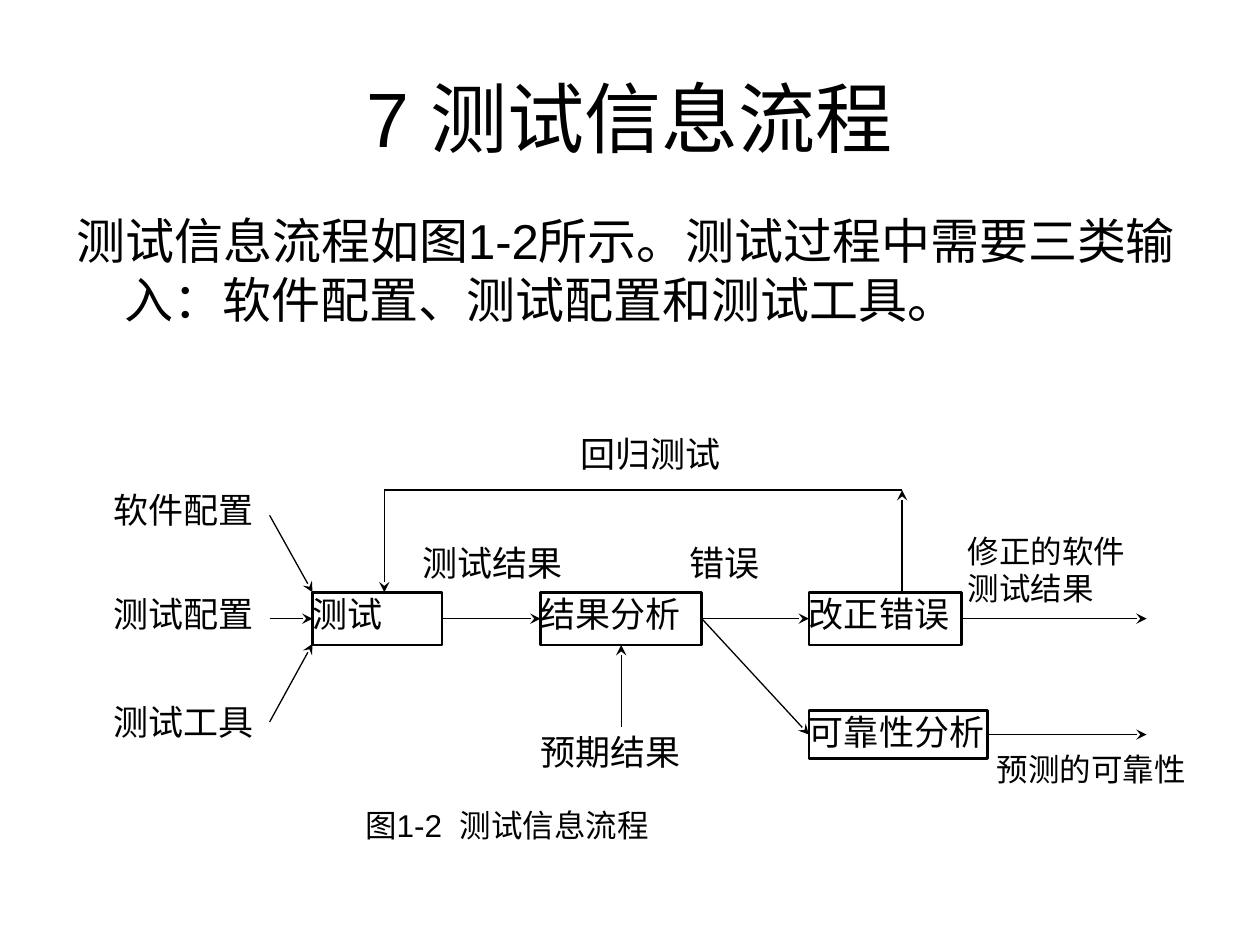
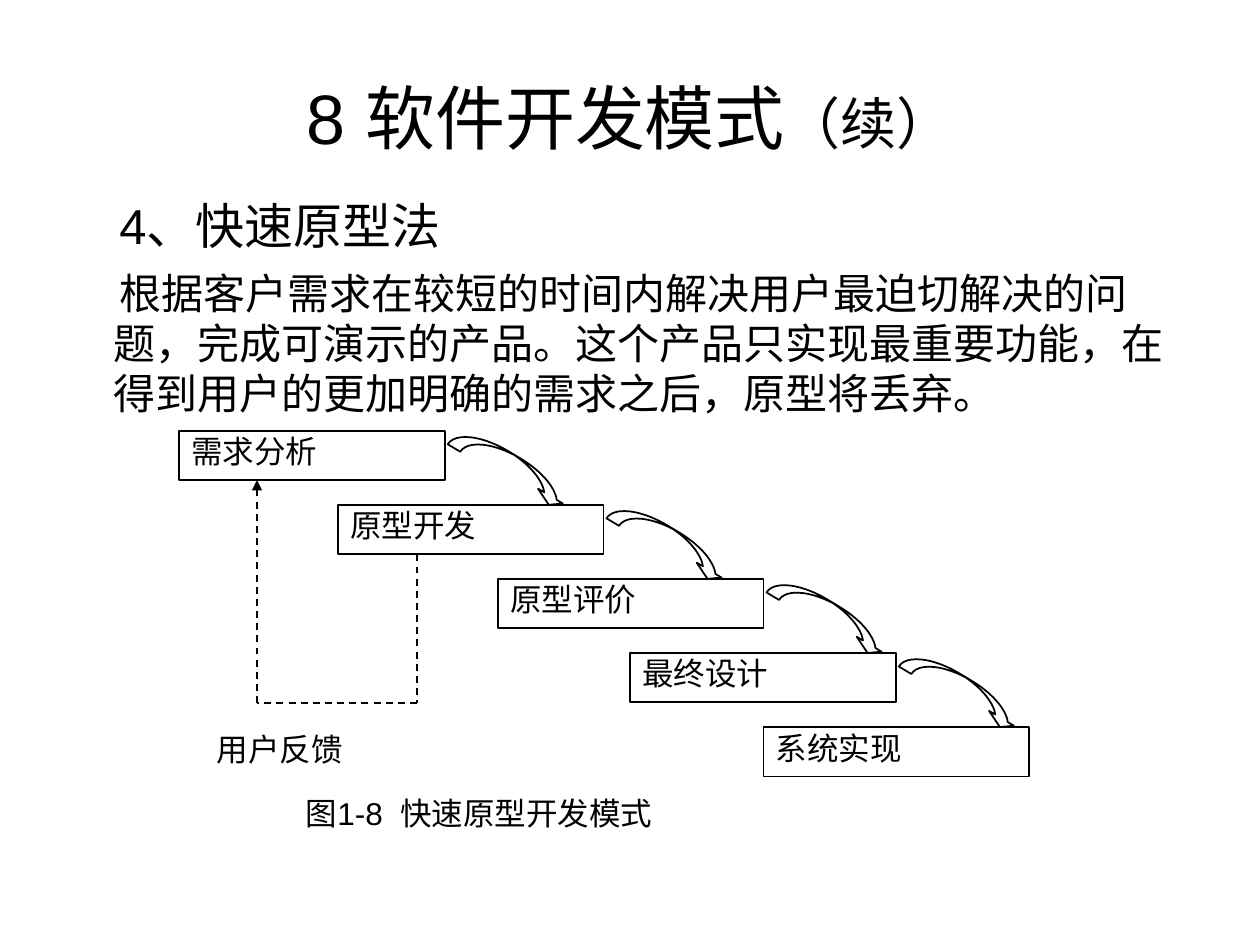
from pptx import Presentation
from pptx.dml.color import RGBColor
from pptx.enum.dml import MSO_LINE
from pptx.enum.shapes import MSO_CONNECTOR, MSO_SHAPE
from pptx.enum.text import MSO_ANCHOR, PP_ALIGN
from pptx.oxml.ns import qn
from pptx.util import Inches, Pt
from lxml.etree import SubElement

BLACK = RGBColor(0, 0, 0)
FONT = "Arial"
TOP, LEFT, BOTTOM, RIGHT = 0, 1, 2, 3
NO_INSET = (0, 0)
BODY_INSET = (0.1, 0.05)
STEP_INSET = (0.1, 0.01)

FLOW_TITLE = [("7 测试信息流程", 44)]
FLOW_INTRO = [("测试信息流程如图1-2所示。测试过程中需要三类输入：软件配置、测试配置和测试工具。", 28)]
FLOW_CAPTION = ("图1-2", "测试信息流程")
FLOW_LABELS = [
    ("软件配置", 20, (0.9, 3.88, 1.35, 0.41)),
    ("测试配置", 20, (0.9, 4.7, 1.35, 0.41)),
    ("测试工具", 20, (0.9, 5.56, 1.35, 0.41)),
    ("回归测试", 20, (4.61, 3.43, 1.26, 0.41)),
    ("错误", 20, (5.47, 4.3, 1.03, 0.41)),
    ("测试结果", 20, (3.35, 4.3, 1.26, 0.41)),
    ("修正的软件测试结果", 18, (7.68, 4.22, 1.49, 0.63)),
    ("预测的可靠性", 18, (7.91, 5.95, 1.65, 0.41)),
    ("预期结果", 20, (4.29, 5.8, 1.33, 0.41)),
]
FLOW_STAGES = {
    "测试": (2.48, 4.7, 1.03, 0.42),
    "结果分析": (4.29, 4.7, 1.28, 0.42),
    "改正错误": (6.42, 4.7, 1.21, 0.42),
    "可靠性分析": (6.42, 5.64, 1.42, 0.38),
}
FLOW_ARROWS = [
    ((2.14, 4.09), (2.48, 4.7)),
    ((2.14, 4.91), ("测试", LEFT)),
    ((2.14, 5.73), (2.48, 5.11)),
    (("测试", RIGHT), ("结果分析", LEFT)),
    (("结果分析", RIGHT), ("改正错误", LEFT)),
    (("结果分析", RIGHT), ("可靠性分析", LEFT)),
    (("改正错误", RIGHT), (9.1, 4.91)),
    (("可靠性分析", RIGHT), (9.1, 5.83)),
    ((4.93, 5.77), ("结果分析", BOTTOM)),
    ((7.16, 4.7), (7.16, 3.89)),
    ((3.05, 3.89), (3.05, 4.7)),
]
REGRESSION_LINE = ((3.05, 3.89), (7.16, 3.89))

MODEL_TITLE = [("8 软件开发模式", 40), ("（续）", 32)]
MODEL_TEXT = [
    ("4、快速原型法", 28),
    ("根据客户需求在较短的时间内解决用户最迫切解决的问题，完成可演示的产品。"
     "这个产品只实现最重要功能，在得到用户的更加明确的需求之后，原型将丢弃。", 24),
]
MODEL_CAPTION = ("图1-8", "快速原型开发模式")
MODEL_STEPS = [("需求分析", 1.42), ("原型开发", 2.68), ("原型评价", 3.95),
               ("最终设计", 5), ("系统实现", 6.06)]
STEP_TOP, STEP_PITCH, STEP_W, STEP_H = 3.42, 0.588, 2.11, 0.39
FEEDBACK = ("用户反馈", 18, (1.62, 5.78, STEP_W, STEP_H))
FEEDBACK_PATH = [(3.31, 4.4), (3.31, 5.58), (2.04, 5.58), (2.04, 3.81)]


def inches(values):
    return [Inches(value) for value in values]


def add_run(paragraph, text, size):
    run = paragraph.add_run()
    run.text = text
    run.font.size = Pt(size)
    run.font.name = FONT
    run.font.color.rgb = BLACK
    return run


def fill_text(holder, paragraphs, inset, margin=0, indent=0):
    frame = holder.text_frame
    frame.word_wrap = True
    frame.vertical_anchor = MSO_ANCHOR.TOP
    frame.margin_left = frame.margin_right = Inches(inset[0])
    frame.margin_top = frame.margin_bottom = Inches(inset[1])
    for number, (text, size) in enumerate(paragraphs):
        paragraph = frame.add_paragraph() if number else frame.paragraphs[0]
        paragraph.alignment = PP_ALIGN.LEFT
        if number:
            paragraph.space_before = Pt(7.5)
        if margin:
            properties = paragraph._p.get_or_add_pPr()
            properties.set("marL", str(Inches(margin)))
            properties.set("indent", str(Inches(indent)))
        add_run(paragraph, text, size)


def add_text(slide, paragraphs, place, inset=BODY_INSET, **indents):
    box = slide.shapes.add_textbox(*inches(place))
    fill_text(box, paragraphs, inset, **indents)
    return box


def add_caption(slide, caption, place):
    figure, name = caption
    paragraph = add_text(slide, [(figure, 18)], place).text_frame.paragraphs[0]
    gap = add_run(paragraph, " ", 18)
    gap.font._element.set("spc", "500")
    add_run(paragraph, name, 18)


def add_outline(slide, kind, place, width):
    outline = slide.shapes.add_shape(kind, *inches(place))
    outline.shadow.inherit = False
    outline.fill.background()
    outline.line.color.rgb = BLACK
    outline.line.width = Pt(width)
    return outline


def add_box(slide, text, size, place, width, inset):
    box = add_outline(slide, MSO_SHAPE.RECTANGLE, place, width)
    fill_text(box, [(text, size)], inset)
    return box


def add_line(slide, start, end, width, head=None, dashed=False, boxes=None):
    joined = [isinstance(point[0], str) for point in (start, end)]
    ends = [(0, 0) if join else point for join, point in zip(joined, (start, end))]
    line = slide.shapes.add_connector(MSO_CONNECTOR.STRAIGHT, *inches(ends[0] + ends[1]))
    if joined[0]:
        line.begin_connect(boxes[start[0]], start[1])
    if joined[1]:
        line.end_connect(boxes[end[0]], end[1])
    line.line.color.rgb = BLACK
    line.line.width = Pt(width)
    if dashed:
        line.line.dash_style = MSO_LINE.DASH
    if head:
        SubElement(line.line._get_or_add_ln(), qn("a:tailEnd"), type=head)
    SubElement(line._element.spPr, qn("a:effectLst"))


def add_slide(prs, title_runs):
    slide = prs.slides.add_slide(prs.slide_layouts[5])
    title = slide.shapes.title
    title.left, title.top, title.width, title.height = inches((0.5, 0.3, 9, 1.25))
    title.text_frame.vertical_anchor = MSO_ANCHOR.MIDDLE
    paragraph = title.text_frame.paragraphs[0]
    paragraph.alignment = PP_ALIGN.CENTER
    for text, size in title_runs:
        add_run(paragraph, text, size)
    return slide


def build_flow(prs):
    slide = add_slide(prs, FLOW_TITLE)
    add_text(slide, FLOW_INTRO, (0.51, 1.62, 8.98, 1.73), margin=0.38, indent=-0.38)
    for text, size, place in FLOW_LABELS:
        add_text(slide, [(text, size)], place, NO_INSET)
    stages = {text: add_box(slide, text, 20, place, 1.5, NO_INSET)
              for text, place in FLOW_STAGES.items()}
    for start, end in FLOW_ARROWS:
        add_line(slide, start, end, 0.75, "stealth", boxes=stages)
    add_line(slide, *REGRESSION_LINE, 0.75)
    add_caption(slide, FLOW_CAPTION, (2.8, 6.35, 4.1, 0.5))


def build_model(prs):
    slide = add_slide(prs, MODEL_TITLE)
    add_text(slide, MODEL_TEXT, (0.42, 1.5, 8.93, 1.92), margin=0.38, indent=0.05)
    for number, (text, left) in enumerate(MODEL_STEPS):
        top = STEP_TOP + number * STEP_PITCH
        add_box(slide, text, 18, (left, top, STEP_W, STEP_H), 1, STEP_INSET)
        if number < len(MODEL_STEPS) - 1:
            place = (left + STEP_W, top + 0.19, 1.05, 0.2)
            arrow = add_outline(slide, MSO_SHAPE.CURVED_DOWN_ARROW, place, 1)
            arrow.rotation = 30.9
            for index, value in enumerate((0.58, 1.15, 0.33)):
                arrow.adjustments[index] = value
    legs = list(zip(FEEDBACK_PATH, FEEDBACK_PATH[1:]))
    for leg in legs:
        add_line(slide, *leg, 1, "triangle" if leg == legs[-1] else None, dashed=True)
    text, size, place = FEEDBACK
    add_text(slide, [(text, size)], place, STEP_INSET)
    add_caption(slide, MODEL_CAPTION, (2.33, 6.25, 4.75, 0.5))


def main():
    prs = Presentation()
    prs.slide_width, prs.slide_height = inches((10, 7.5))
    build_flow(prs)
    build_model(prs)
    prs.save("out.pptx")


if __name__ == "__main__":
    main()
